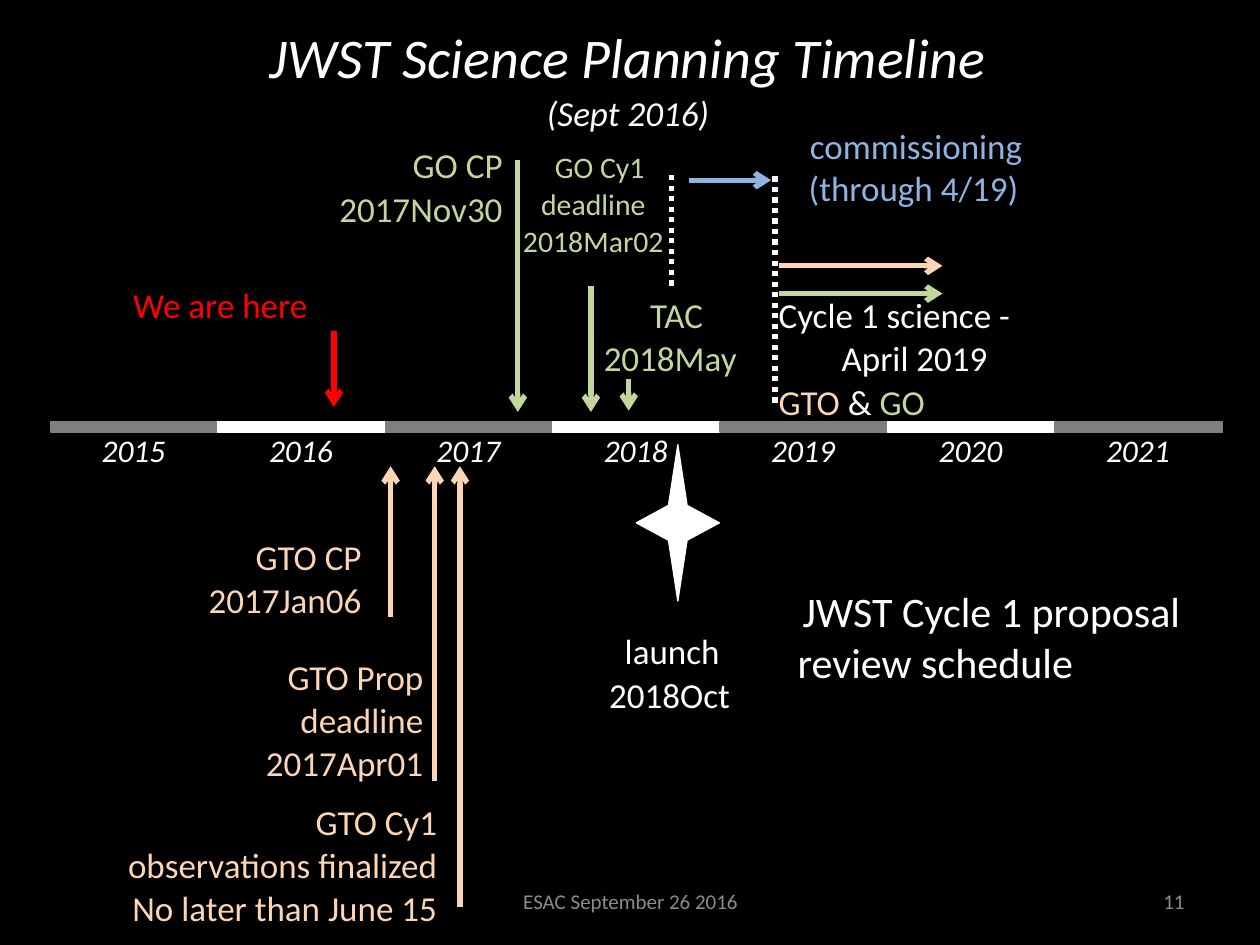
from dataclasses import dataclass

from lxml import etree
from pptx import Presentation
from pptx.dml.color import RGBColor
from pptx.enum import dml, shapes, text
from pptx.oxml import ns
from pptx.util import Inches, Pt


@dataclass(frozen=True)
class Theme:
    font: str = "Calibri"
    black: str = "000000"
    white: str = "FFFFFF"
    grey: str = "7F7F7F"
    footer: str = "8C8C8C"
    go: str = "C3D69B"
    gto: str = "FCD5B5"
    blue: str = "8EB4E3"
    red: str = "FF0000"
    title: int = 32
    heading: int = 24
    body: int = 20
    year: int = 18
    compact: int = 17
    small: int = 12


T = Theme()
LEFT, CENTER, RIGHT = text.PP_ALIGN.LEFT, text.PP_ALIGN.CENTER, text.PP_ALIGN.RIGHT


def write(tf, lines, align, indent=0, italic=False):
    """Fill a frame; each line is a list of (text, size, colour) runs."""
    tf.word_wrap = True
    for i, runs in enumerate(lines):
        p = tf.paragraphs[0] if i == 0 else tf.add_paragraph()
        p.alignment = align
        if i == 0 and indent:
            p._p.get_or_add_pPr().set("indent", str(Inches(indent)))
        elif i:
            p.space_before = Pt(0.8)
        for words, size, color in runs:
            r = p.add_run()
            r.text = words
            r.font.name, r.font.size, r.font.italic = T.font, Pt(size), italic
            r.font.color.rgb = RGBColor.from_string(color)


def add_box(box, lines, align, indent=0, italic=False, inset=0):
    """Add a text box at (left, top, width, height) in inches."""
    tf = s.shapes.add_textbox(*map(Inches, box)).text_frame
    tf.margin_left = tf.margin_right = Inches(inset)
    tf.margin_top = tf.margin_bottom = Inches(inset / 2)
    write(tf, lines, align, indent, italic)
    return tf


prs = Presentation()
prs.slide_width, prs.slide_height = Inches(10), Inches(7.5)
s = prs.slides.add_slide(prs.slide_layouts[5])
s.background.fill.solid()
s.background.fill.fore_color.rgb = RGBColor.from_string(T.black)

# Title
sp = s.shapes.title
sp.left, sp.top, sp.width, sp.height = map(Inches, (1.96, 0.13, 6.05, 0.98))
sp.text_frame.vertical_anchor = text.MSO_ANCHOR.TOP
sp.text_frame.auto_size = text.MSO_AUTO_SIZE.NONE
write(sp.text_frame, [[("JWST Science Planning Timeline", T.title, T.white)],
                      [("(Sept 2016)", T.body, T.white)]], CENTER, italic=True)

# Year bar and labels
step = 9.3 / 7
bars = []
for i in range(7):
    sp = s.shapes.add_shape(shapes.MSO_SHAPE.RECTANGLE, Inches(0.4 + i * step),
                            Inches(3.35), Inches(step), Inches(0.08))
    bars.append((sp, T.white if i % 2 else T.grey))
    tf = add_box((0.76 + i * step, 3.51, 0.6, 0.22),
                 [[(str(2015 + i), T.year, T.white)]], CENTER, italic=True)
    tf.paragraphs[0].line_spacing = Pt(15.3)

# Launch star
star = s.shapes.add_shape(shapes.MSO_SHAPE.STAR_4_POINT, Inches(5.05), Inches(3.53),
                          Inches(0.66), Inches(1.24))
star.adjustments[0] = 0.158
for sp, color in bars + [(star, T.white)]:
    sp.shadow.inherit = False
    sp.fill.solid()
    sp.fill.fore_color.rgb = RGBColor.from_string(color)
    sp.line.color.rgb = RGBColor.from_string(color)
    sp.line.width = Pt(0.75)

# Event labels: box, lines, size, colour, alignment, first-line indent
for box, lines, size, color, align, indent in [
    ((6.19, 0.99, 2.12, 0.42), ["commissioning (through 4/19)"], T.body, T.blue, CENTER, 0.04),
    ((2.09, 1.14, 1.9, 1.11), ["GO CP", "2017Nov30"], T.body, T.go, RIGHT, 0),
    ((3.76, 1.18, 1.9, 1.07), ["GO Cy1", "deadline", "2018Mar02"], T.compact, T.go, CENTER, 0.1),
    ((4.37, 2.33, 1.9, 0.84), ["TAC", "2018May"], T.body, T.go, CENTER, 0.1),
    ((0.95, 2.25, 1.49, 0.68), ["We are here"], T.body, T.red, RIGHT, 0),
    ((1.46, 4.25, 1.41, 0.8), ["GTO CP", "2017Jan06"], T.body, T.gto, RIGHT, 0),
    ((1.67, 5.2, 1.69, 1.14), ["GTO Prop", "deadline", "2017Apr01"], T.body, T.gto, RIGHT, 0),
    ((0.46, 6.35, 3.01, 1.14), ["GTO Cy1", "observations finalized", "No later than June 15"],
     T.body, T.gto, RIGHT, 0),
    ((4.66, 5, 1.31, 0.67), ["launch", "2018Oct"], T.body, T.white, CENTER, 0.04),
    ((6.33, 4.65, 3.09, 1.48), ["JWST Cycle 1 proposal review schedule"],
     T.heading, T.white, LEFT, 0.04),
]:
    add_box(box, [[(line, size, color)] for line in lines], align, indent)

# Cycle 1 science, with the GTO and GO colour key
add_box((6.18, 2.33, 3.03, 0.65), [
    [("Cycle 1 science -", T.body, T.white)],
    [("\tApril 2019", T.body, T.white)],
    [("GTO ", T.body, T.gto), ("& ", T.body, T.white), ("GO", T.body, T.go)],
], LEFT)

# Arrows and dotted limits: x1, y1, x2, y2, colour, dotted
for x1, y1, x2, y2, color, dotted in [
    (3.1, 4.9, 3.1, 3.7, T.gto, False),
    (3.45, 6.2, 3.45, 3.7, T.gto, False),
    (3.65, 7.2, 3.65, 3.7, T.gto, False),
    (4.11, 1.27, 4.11, 3.27, T.go, False),
    (4.69, 2.27, 4.69, 3.27, T.go, False),
    (4.99, 3.01, 4.99, 3.26, T.go, False),
    (2.65, 2.63, 2.65, 3.23, T.red, False),
    (5.47, 1.43, 6.12, 1.43, T.blue, False),
    (6.18, 2.11, 7.48, 2.11, T.gto, False),
    (6.18, 2.33, 7.48, 2.33, T.go, False),
    (5.33, 1.39, 5.33, 2.29, T.white, True),
    (6.15, 1.4, 6.15, 3.2, T.white, True),
]:
    c = s.shapes.add_connector(shapes.MSO_CONNECTOR.STRAIGHT, *map(Inches, (x1, y1, x2, y2)))
    c.line.color.rgb = RGBColor.from_string(color)
    c.line.width = Pt(3)
    if dotted:
        c.line.dash_style = dml.MSO_LINE.ROUND_DOT
    else:
        etree.SubElement(c.line._get_or_add_ln(), ns.qn("a:tailEnd"), type="arrow")
    etree.SubElement(c._element.spPr, ns.qn("a:effectLst"))

# Footer and slide number
for box, words, align in [((3.42, 6.95, 3.17, 0.4), "ESAC September 26 2016", CENTER),
                          ((7.17, 6.95, 2.33, 0.4), "11", RIGHT)]:
    tf = add_box(box, [[(words, T.small, T.footer)]], align, inset=0.1)
    tf.vertical_anchor = text.MSO_ANCHOR.MIDDLE

prs.save("out.pptx")
